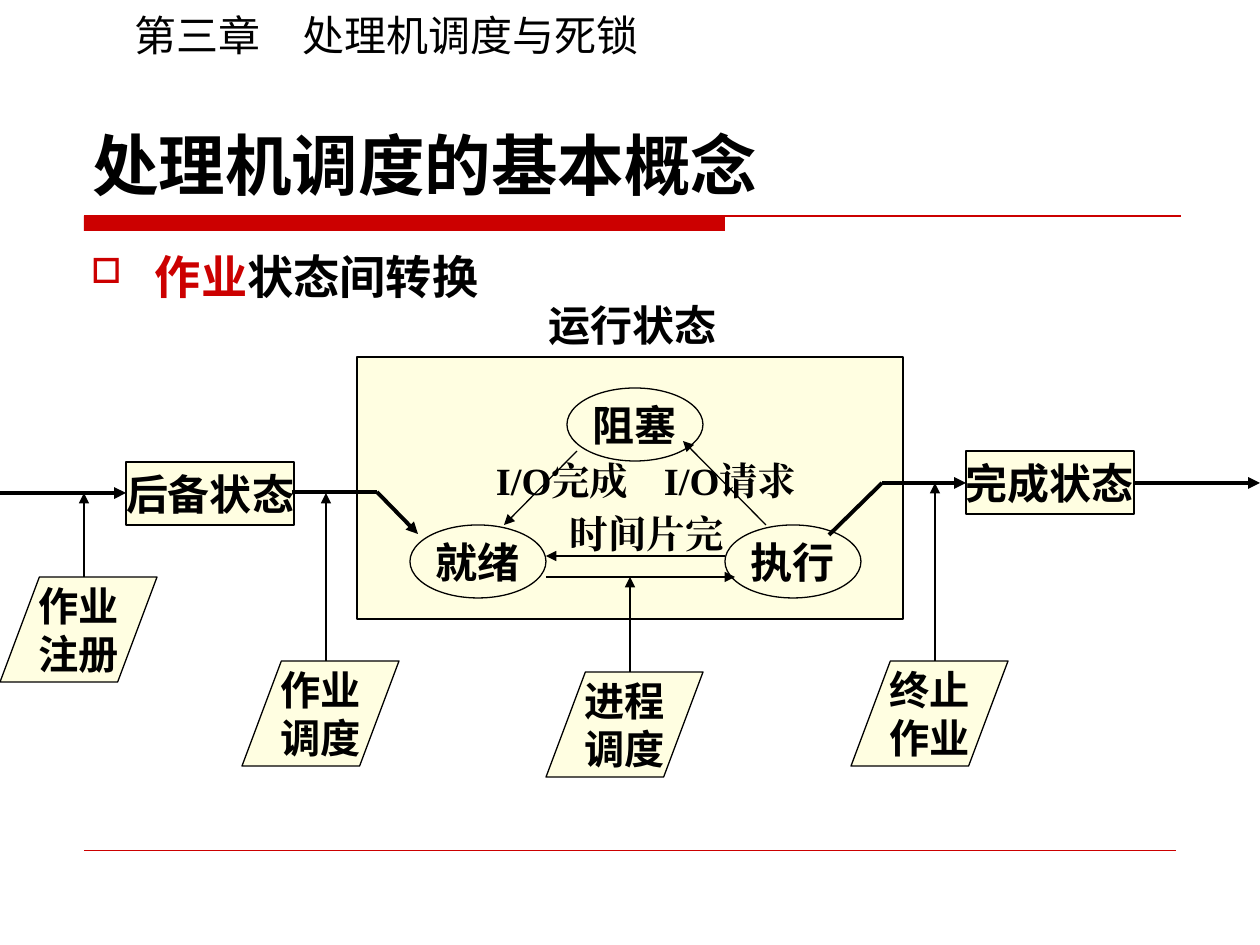
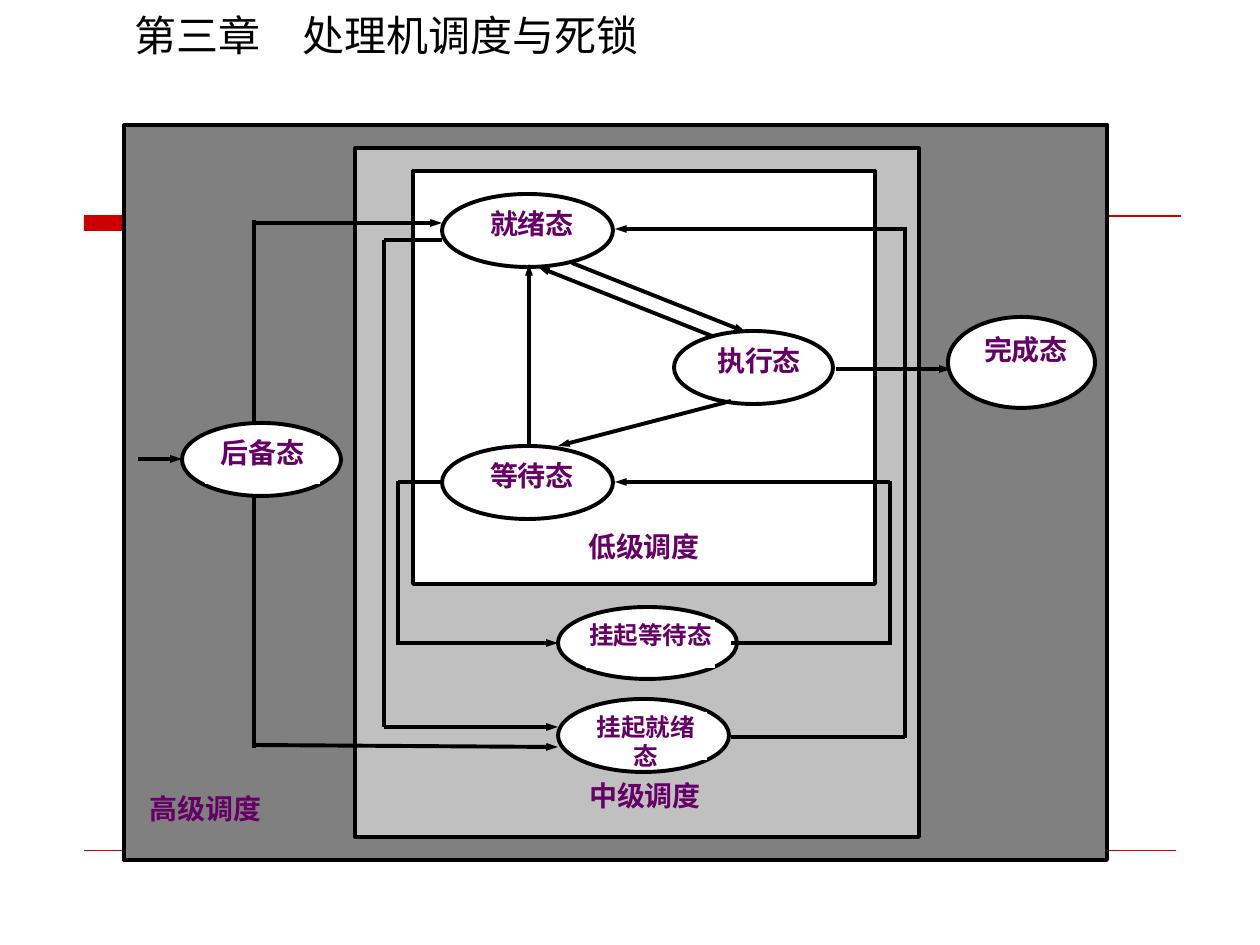
import pptx
import pptx.util
import pptx.dml.color
import pptx.enum.shapes
import pptx.enum.text
import pptx.oxml
import pptx.oxml.ns

RGB = pptx.dml.color.RGBColor
SHAPE = pptx.enum.shapes.MSO_SHAPE
ALIGN = pptx.enum.text.PP_ALIGN
ANCHOR = pptx.enum.text.MSO_ANCHOR
Pt = pptx.util.Pt

RED = RGB(0xCC, 0x00, 0x00)
BLACK = RGB(0x00, 0x00, 0x00)
WHITE = RGB(0xFF, 0xFF, 0xFF)
CREAM = RGB(0xFF, 0xFE, 0xE1)
DARK = RGB(0x80, 0x80, 0x80)
LIGHT = RGB(0xC0, 0xC0, 0xC0)
PLUM = RGB(0x66, 0x00, 0x66)

SANS, ROBO, TIMES, NOTO = "DejaVu Sans", "Roboto", "Times New Roman", "Noto Sans CJK SC"
SCALE = 914400 / 126  # EMU in one px

# Content: boxes are left, top, width, height; lines are x1, y1, x2, y2
CHAPTER = "第三章　处理机调度与死锁"
TITLE = "处理机调度的基本概念"
POINT = [("作业", RED), ("状态间转换", BLACK)]

JOBS = [("后备状态", 126, 462), ("完成状态", 966, 451)]
STATES = [("就绪", 410, 525), ("阻塞", 567, 388), ("执行", 725, 525)]
NOTES = [
    ("运行状态", (536, 294, 210, 63), 24, ROBO),
    ("I/O完成", (483, 451, 179, 59), 22, TIMES),
    ("I/O请求", (651, 451, 179, 59), 22, TIMES),
    ("时间片完", (557, 504, 199, 59), 22, TIMES),
]
STEPS = [  # text, left, top, height of the arrow tip
    ("作业\n注册", 0, 577, 493),
    ("作业\n调度", 242, 661, 493),
    ("进程\n调度", 546, 672, 577),
    ("终止\n作业", 851, 661, 483),
]
MOVES = [(546, 577, 735, 577), (725, 556, 546, 556), (577, 451, 504, 525), (766, 525, 683, 441)]
FLOWS = [  # line, has an arrowhead
    ((0, 493, 126, 493), True),
    ((1134, 483, 1260, 483), True),
    ((292, 492, 377, 492), False),
    ((377, 492, 418, 534), True),
    ((829, 535, 882, 483), False),
    ((882, 483, 966, 483), True),
]

FRAMES = [
    ((124, 125, 983, 735), DARK),
    ((355, 148, 564, 689), LIGHT),
    ((413, 171, 462, 413), WHITE),
]
LEVELS = [
    ("高级调度", (136, 791, 139, 47)),
    ("中级调度", (558, 779, 174, 45)),
    ("低级调度", (413, 530, 462, 45)),
]
NODES = [  # text, size, ellipse, label
    ("后备态", 16, (182, 423, 159, 73), (205, 436, 115, 48)),
    ("挂起就绪态", 14, (558, 699, 171, 73), (585, 712, 122, 48)),
    ("挂起等待态", 14, (558, 607, 179, 72), (586, 620, 129, 48)),
    ("执行态", 16, (674, 331, 159, 73), (711, 344, 96, 48)),
    ("就绪态", 16, (442, 194, 171, 73), (481, 207, 102, 48)),
    ("等待态", 16, (442, 446, 171, 73), (481, 459, 102, 48)),
    ("完成态", 16, (948, 317, 147, 91), (982, 333, 88, 60)),
]
SPINE = (254, 748, 254, 220)
PLAIN = [
    (890, 645, 890, 481), (890, 643, 731, 643), (398, 645, 398, 481),
    (442, 482, 398, 482), (442, 240, 384, 240), (384, 727, 384, 240),
    (905, 737, 731, 737), (905, 738, 905, 227),
]
ARROWS = [
    (138, 459, 182, 459), (529, 446, 529, 264), (731, 401, 558, 446),
    (712, 336, 538, 267), (572, 263, 746, 332), (398, 643, 558, 643),
    (890, 482, 615, 482), (384, 727, 558, 727), (905, 229, 615, 229),
    (254, 223, 442, 223), (254, 745, 558, 747), (836, 369, 951, 369),
]


def emu(vals):
    return [round(v * SCALE) for v in vals]


def node(tag, **attrs):
    item = pptx.oxml.parse_xml(f"<a:{tag} {pptx.oxml.ns.nsdecls('a')}/>")
    for key, val in attrs.items():
        item.set(key, val)
    return item


def write(shape, text, size, font, color=BLACK, bold=True, align=ALIGN.LEFT,
          anchor=ANCHOR.TOP, pad=(13, 6), wrap=True, bullet=None):
    """Fill a shape with lines of text, or with one line of coloured runs."""
    frame = shape.text_frame
    frame.word_wrap, frame.vertical_anchor = wrap, anchor
    frame.margin_left = frame.margin_right = emu(pad)[0]
    frame.margin_top = frame.margin_bottom = emu(pad)[1]
    lines = [[(s, color)] for s in text.split("\n")] if isinstance(text, str) else [text]
    for i, runs in enumerate(lines):
        para = frame.add_paragraph() if i else frame.paragraphs[0]
        para.alignment = align
        if bullet:
            props = para._p.get_or_add_pPr()
            hang = emu([64])[0]
            props.set("marL", str(hang))
            props.set("indent", str(-hang))
            tint = node("buClr")
            tint.append(node("srgbClr", val=str(RED)))
            props.extend([tint, node("buSzPct", val="75000"), node("buChar", char=bullet)])
        for part, shade in runs:
            run = para.add_run()
            run.text = part
            run.font.size, run.font.bold, run.font.name = Pt(size), bold, font
            run.font.color.rgb = shade
            run._r.get_or_add_rPr().append(node("ea", typeface=font))


def label(slide, box, text, size, font, **form):
    write(slide.shapes.add_textbox(*emu(box)), text, size, font, **form)


def block(slide, kind, box, fill, width=0.75):
    shape = slide.shapes.add_shape(kind, *emu(box))
    shape.shadow.inherit = False
    shape.fill.solid()
    shape.fill.fore_color.rgb = fill
    if width:
        shape.line.color.rgb = BLACK
        shape.line.width = Pt(width)
    else:
        shape.line.fill.background()
    return shape


def link(slide, ends, width=2.25, color=BLACK, tip=None):
    """Draw a line; tip is the width class of its arrowhead."""
    line = slide.shapes.add_connector(pptx.enum.shapes.MSO_CONNECTOR.STRAIGHT, *emu(ends))
    line.line.color.rgb = color
    line.line.width = Pt(width)
    props = line._element.spPr
    if tip:
        props.find(pptx.oxml.ns.qn("a:ln")).append(
            node("tailEnd", type="triangle", w=tip, len="med"))
    props.append(node("effectLst"))


def start(deck):
    """Add a slide with the shared band, rules and chapter heading."""
    slide = deck.slides.add_slide(deck.slide_layouts[6])
    block(slide, SHAPE.RECTANGLE, (84, 216, 641, 15), RED, width=0)
    link(slide, (84, 216, 1181, 216), width=0.75, color=RED)
    link(slide, (84, 850, 1176, 850), width=0.25, color=RED)
    label(slide, (122, 4, 538, 63), CHAPTER, 24, NOTO, bold=False, wrap=False)
    return slide


def jobs(deck):
    slide = start(deck)
    mid = dict(align=ALIGN.CENTER, anchor=ANCHOR.MIDDLE, wrap=False)
    block(slide, SHAPE.RECTANGLE, (357, 357, 546, 262), CREAM)
    label(slide, (79, 42, 1102, 168), TITLE, 38, SANS, anchor=ANCHOR.BOTTOM)
    label(slide, (78, 242, 1103, 73), POINT, 26.4, SANS, bullet="□")

    # Job and process states
    for text, x, y in JOBS:
        write(block(slide, SHAPE.RECTANGLE, (x, y, 168, 63), CREAM), text, 24, ROBO, **mid)
    for text, x, y in STATES:
        write(block(slide, SHAPE.OVAL, (x, y, 136, 73), CREAM), text, 24, ROBO, **mid)

    # Transitions and their names
    for ends in MOVES:
        link(slide, ends, width=0.75, tip="med")
    for text, box, size, font in NOTES:
        label(slide, box, text, size, font)
    for ends, head in FLOWS:
        link(slide, ends, tip="med" if head else None)

    # Scheduling steps, each pointing up at its transition
    for text, x, y, tip in STEPS:
        step = block(slide, SHAPE.PARALLELOGRAM, (x, y, 157, 105), CREAM)
        step.adjustments[0] = 0.375
        write(step, text, 23, ROBO, **mid)
        link(slide, (x + 84, y, x + 84, tip), width=0.75, tip="med")


def levels(deck):
    slide = start(deck)
    form = dict(color=PLUM, align=ALIGN.CENTER, pad=(0, 0))

    # Nested scheduling levels
    for box, fill in FRAMES:
        block(slide, SHAPE.RECTANGLE, box, fill, width=2.25)
    for text, box in LEVELS:
        label(slide, box, text, 16, NOTO, **form)

    # States, over the line that leaves the first one
    link(slide, SPINE)
    for text, size, oval, box in NODES:
        block(slide, SHAPE.OVAL, oval, WHITE, width=2.25)
        write(block(slide, SHAPE.RECTANGLE, box, WHITE, width=0), text, size, NOTO, **form)

    # Transitions
    for ends in PLAIN:
        link(slide, ends)
    for ends in ARROWS:
        link(slide, ends, tip="sm")


def main():
    deck = pptx.Presentation()
    deck.slide_width, deck.slide_height = emu((1260, 945))
    jobs(deck)
    levels(deck)
    deck.save("out.pptx")


if __name__ == "__main__":
    main()
